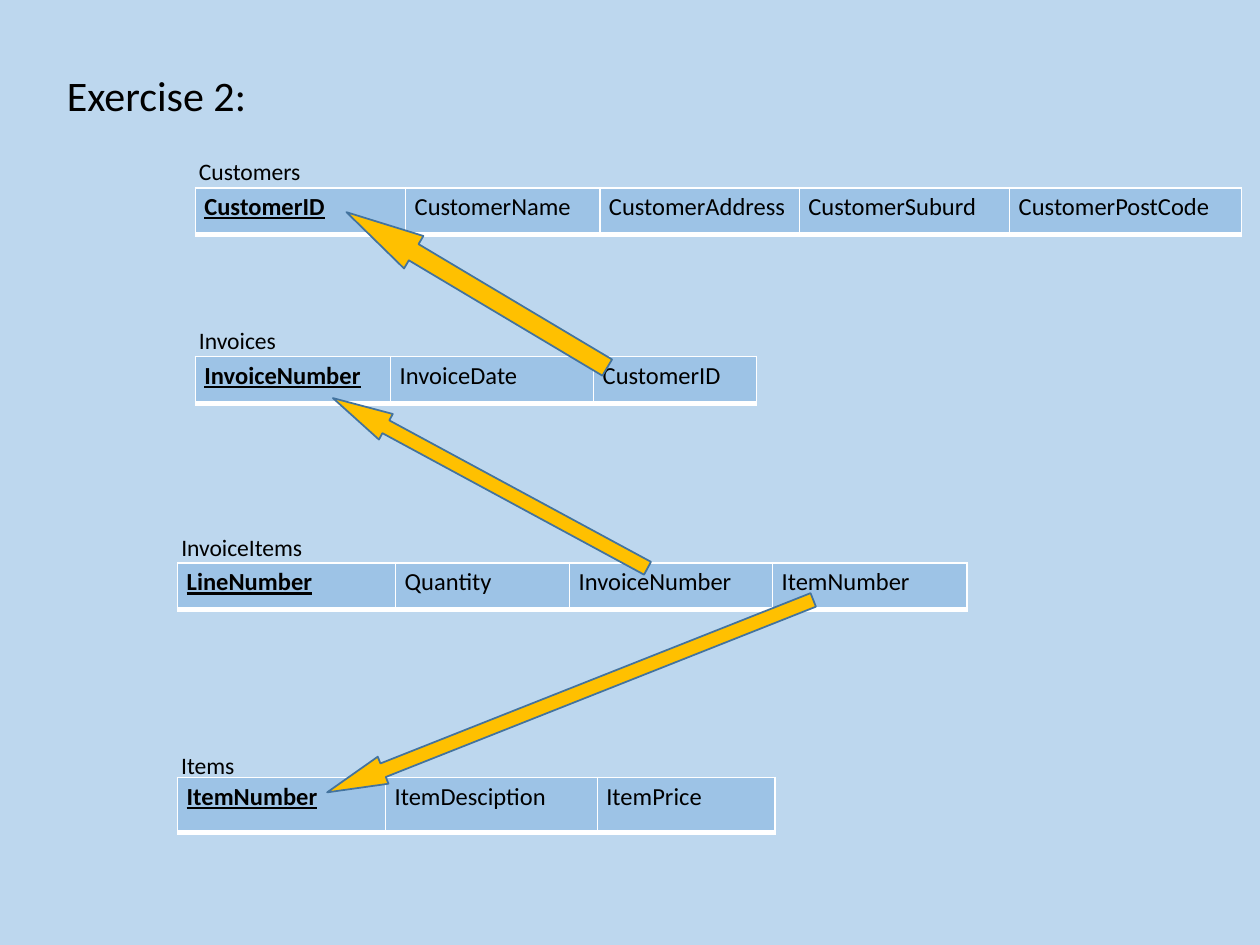
from math import atan2, degrees, hypot

from lxml import etree
from pptx import Presentation
from pptx.dml.color import RGBColor
from pptx.enum import shapes, text
from pptx.oxml.ns import qn
from pptx.util import Pt

TITLE = "Exercise 2:"
# name, label width, label top, left, top, row height, (field, width) list
TABLES = [
    ("Customers", 73.4, 86.4, 111.6, 107.3, 26.6,
     [("CustomerID", 120.2), ("CustomerName", 111), ("CustomerAddress", 114),
      ("CustomerSuburd", 120.2), ("CustomerPostCode", 132.5)]),
    ("Invoices", 59, 182.9, 111.6, 203.8, 26.6,
     [("InvoiceNumber", 111.6), ("InvoiceDate", 116), ("CustomerID", 93)]),
    ("InvoiceItems", 85, 301, 101.5, 321.8, 26.6,
     [("LineNumber", 124.6), ("Quantity", 99.4), ("InvoiceNumber", 116),
      ("ItemNumber", 111)]),
    ("Items", 45.4, 425.5, 101.5, 444.2, 31.7,
     [("ItemNumber", 118.8), ("ItemDesciption", 121), ("ItemPrice", 101.5)]),
]
# tail, tip, thickness
ARROWS = [
    ((347, 210), (198, 121.2), 21.6),
    ((370, 324.7), (190.2, 227.5), 16.6),
    ((464.7, 342.8), (186.9, 452.8), 16.6),
]
BORDERS = [("L", 1), ("R", 1), ("T", 1), ("B", 3)]
CELL = dict(margin_left=Pt(5.2), margin_right=Pt(5.2),
            margin_top=Pt(2.6), margin_bottom=Pt(2.6))
LABEL = dict(word_wrap=False, auto_size=text.MSO_AUTO_SIZE.SHAPE_TO_FIT_TEXT,
             vertical_anchor=text.MSO_ANCHOR.TOP)


def paint(fill, color):
    """Give a fill one solid colour."""
    fill.solid()
    fill.fore_color.rgb = RGBColor.from_string(color)


def apply(item, values):
    """Set attributes from a dict."""
    for key, val in values.items():
        setattr(item, key, val)


def write(frame, words, size, **style):
    """Put one left-aligned line of black text in a frame."""
    para = frame.paragraphs[0]
    para.alignment = text.PP_ALIGN.LEFT
    run = para.add_run()
    run.text = words
    apply(run.font, dict(name="Calibri", size=Pt(size), **style))
    paint(run.font.fill, "000000")


def edge(cell):
    """Draw white borders round a cell."""
    props = cell._tc.get_or_add_tcPr()
    for pos, (side, width) in enumerate(BORDERS):
        line = etree.Element(qn("a:ln" + side), w=str(Pt(width)))
        fill = etree.SubElement(line, qn("a:solidFill"))
        etree.SubElement(fill, qn("a:srgbClr"), val="FFFFFF")
        props.insert(pos, line)


def add_entity(slide, name, wide, label_top, left, top, high, fields):
    """Add a label and its one-row table, key field first."""
    box = slide.shapes.add_textbox(Pt(left - 5), Pt(label_top), Pt(wide), Pt(23.8))
    apply(box.text_frame, LABEL)
    write(box.text_frame, name, 13.5)
    total = sum(width for _, width in fields)
    grid = slide.shapes.add_table(1, len(fields), Pt(left), Pt(top),
                                  Pt(total), Pt(high)).table
    for col, (field, width) in enumerate(fields):
        grid.columns[col].width = Pt(width)
        cell = grid.cell(0, col)
        apply(cell, CELL)
        paint(cell.fill, "9DC3E6")
        edge(cell)
        write(cell.text_frame, field, 14, bold=col == 0, underline=col == 0)


def add_arrow(slide, tail, tip, thick):
    """Add a block arrow from tail to tip."""
    (ax, ay), (bx, by) = tail, tip
    size = hypot(bx - ax, by - ay)
    arrow = slide.shapes.add_shape(
        shapes.MSO_SHAPE.RIGHT_ARROW, Pt((ax + bx - size) / 2),
        Pt((ay + by - thick) / 2), Pt(size), Pt(thick))
    arrow.rotation = degrees(atan2(by - ay, bx - ax)) % 360
    arrow.adjustments[0] = 0.5
    arrow.adjustments[1] = 2.07
    arrow.shadow.inherit = False
    paint(arrow.fill, "FFC000")
    paint(arrow.line.fill, "43739E")
    arrow.line.width = Pt(1)


deck = Presentation()
apply(deck, dict(slide_width=Pt(720), slide_height=Pt(540)))
slide = deck.slides.add_slide(deck.slide_layouts[5])
paint(slide.background.fill, "BDD7EE")
title = slide.shapes.title
apply(title, dict(left=Pt(31), top=Pt(36), width=Pt(118), height=Pt(36)))
apply(title.text_frame, LABEL)
write(title.text_frame, TITLE, 24)
for entity in TABLES:
    add_entity(slide, *entity)
for arrow in ARROWS:
    add_arrow(slide, *arrow)
deck.save("out.pptx")
